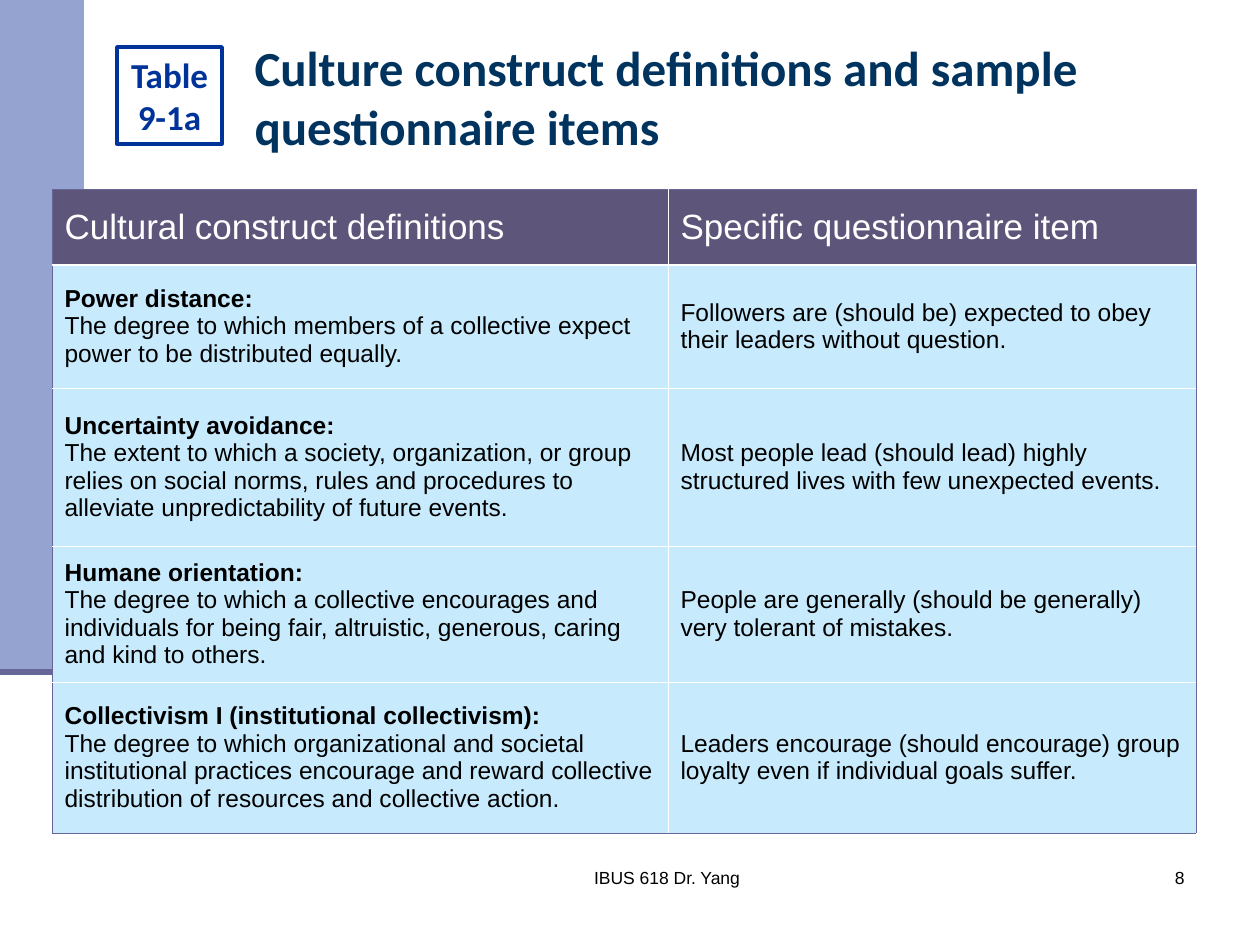
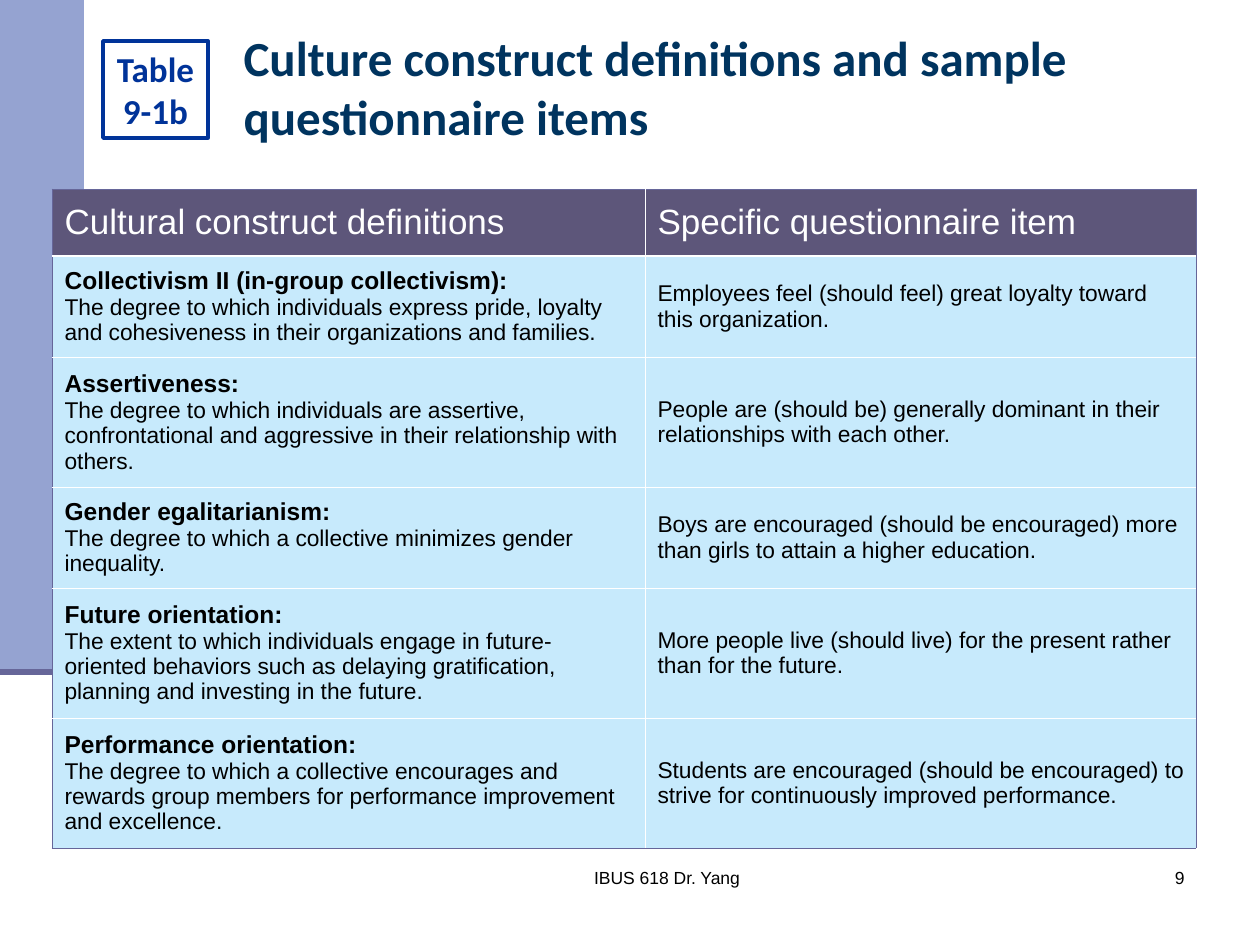
from pptx import Presentation
from pptx.dml.color import RGBColor as Rgb
from pptx.enum.shapes import MSO_CONNECTOR as Conn, MSO_SHAPE as Form
from pptx.enum.text import MSO_ANCHOR as Anchor, MSO_AUTO_SIZE as Fit, PP_ALIGN as Align
from pptx.oxml.xmlchemy import OxmlElement as Node
from pptx.util import Pt

TITLE = "Culture construct definitions and sample questionnaire items"
HEADS = ("Cultural construct definitions", "Specific questionnaire item")
FOOT = "IBUS 618 Dr. Yang"

PAGES = [
    {
        "num": 8, "tag": ("Table", "9-1a"), "tag_at": (117, 47), "title_at": (242, 31),
        "cols": (616, 528), "rows": (76, 123, 158, 136, 151), "size": 14,
        "items": [
            ("Power distance:",
             "The degree to which members of a collective expect power to be distributed equally.",
             "Followers are (should be) expected to obey their leaders without question."),
            ("Uncertainty avoidance:",
             "The extent to which a society, organization, or group relies on social norms, rules and procedures to alleviate unpredictability of future events.",
             "Most people lead (should lead) highly structured lives with few unexpected events."),
            ("Humane orientation:",
             "The degree to which a collective encourages and individuals for being fair, altruistic, generous, caring and kind to others.",
             "People are generally (should be generally) very tolerant of mistakes."),
            ("Collectivism I (institutional collectivism):",
             "The degree to which organizational and societal institutional practices encourage and reward collective distribution of resources and collective action.",
             "Leaders encourage (should encourage) group loyalty even if individual goals suffer."),
        ],
    },
    {
        "num": 9, "tag": ("Table", "9-1b"), "tag_at": (103, 41), "title_at": (231, 21),
        "cols": (593, 551), "rows": (67, 101, 130, 101, 130, 130), "size": 13,
        "items": [
            ("Collectivism II (in-group collectivism):",
             "The degree to which individuals express pride, loyalty and cohesiveness in their organizations and families.",
             "Employees feel (should feel) great loyalty toward this organization."),
            ("Assertiveness:",
             "The degree to which individuals are assertive, confrontational and aggressive in their relationship with others.",
             "People are (should be) generally dominant in their relationships with each other."),
            ("Gender egalitarianism:",
             "The degree to which a collective minimizes gender inequality.",
             "Boys are encouraged (should be encouraged) more than girls to attain a higher education."),
            ("Future orientation:",
             "The extent to which individuals engage in future-oriented behaviors such as delaying gratification, planning and investing in the future.",
             "More people live (should live) for the present rather than for the future."),
            ("Performance orientation:",
             "The degree to which a collective encourages and rewards group members for performance improvement and excellence.",
             "Students are encouraged (should be encouraged) to strive for continuously improved performance."),
        ],
    },
]


class Theme:
    band, rule, tag = "95A3D1", "666699", "003399"
    head, cell, grid = "5D567A", "C7EAFC", "FFFFFF"
    thin, thick = 0.45, 1.47
    fonts = {
        "title": {"name": "Calibri", "size": 28, "bold": True, "color": "00345F"},
        "tag": {"name": "Calibri", "size": 20, "bold": True, "color": tag},
        "head": {"name": "Arial", "size": 20, "bold": False, "color": "FFFFFF"},
        "term": {"name": "Arial", "size": 14, "bold": True, "color": "000000"},
        "text": {"name": "Arial", "size": 14, "bold": False, "color": "000000"},
        "foot": {"name": "Arial", "size": 10, "bold": False, "color": "000000"},
    }


SCALE = 914400 / 126
WIDE, HIGH = 1260, 945
BAND = (0, 0, 84, 672)
TABLE = (52, 189)
FEET = [(462, 861, 410, 63, Align.CENTER), (935, 861, 262, 63, Align.RIGHT)]


def px(*vals):
    return [round(val * SCALE) for val in vals]


def put(para, text, kind, **more):
    run = para.add_run()
    run.text = text
    for key, val in {**Theme.fonts[kind], **more}.items():
        if key == "color":
            run.font.color.rgb = Rgb.from_string(val)
        else:
            setattr(run.font, key, Pt(val) if key == "size" else val)


def setup(frame, **more):
    base = {"word_wrap": True, "auto_size": Fit.NONE, "vertical_anchor": Anchor.TOP}
    for key, val in {**base, **more}.items():
        setattr(frame, key, val)
    return frame.paragraphs[0]


def paint(thing, color):
    thing.solid()
    thing.fore_color.rgb = Rgb.from_string(color)


def stroke(line, color, width):
    paint(line.fill, color)
    line.width = Pt(width)


def add_title(slide, spot):
    shape = slide.shapes.title
    box = px(*spot, 987, 131)
    for key, val in zip(("left", "top", "width", "height"), box):
        setattr(shape, key, val)
    para = setup(shape.text_frame)
    para.alignment = Align.LEFT
    put(para, TITLE, "title")


def add_band(slide):
    band = slide.shapes.add_shape(Form.RECTANGLE, *px(*BAND))
    band.shadow.inherit = False
    paint(band.fill, Theme.band)
    band.line.fill.background()
    left, top, width, height = BAND
    rule = slide.shapes.add_connector(
        Conn.STRAIGHT, *px(left, top + height, left + width, top + height))
    rule._element.spPr.append(Node("a:effectLst"))
    stroke(rule.line, Theme.rule, 3.5)


def add_tag(slide, lines, spot):
    box = slide.shapes.add_shape(Form.RECTANGLE, *px(*spot, 105, 97))
    box.shadow.inherit = False
    box.fill.background()
    stroke(box.line, Theme.tag, 2)
    para = setup(box.text_frame, word_wrap=False)
    para.alignment = Align.CENTER
    put(para, lines[0], "tag")
    para.add_line_break()
    put(para, lines[1], "tag")


def add_feet(slide, num):
    for text, (*box, side) in zip((FOOT, str(num)), FEET):
        para = setup(slide.shapes.add_textbox(*px(*box)).text_frame)
        para.alignment = side
        put(para, text, "foot")


def edge(cell, side, color, width):
    line = Node(f"a:ln{side}")
    line.set("w", str(Pt(width)))
    fill, tone = Node("a:solidFill"), Node("a:srgbClr")
    tone.set("val", color)
    fill.append(tone)
    line.append(fill)
    cell._tc.get_or_add_tcPr().append(line)


def frame_cell(cell, row, col, last):
    outer = {"L": col == 0, "R": col == 1, "T": row == 0, "B": row == last}
    heavy = {"T": row == 1, "B": row == 0}
    for side, out in outer.items():
        edge(cell, side, Theme.rule if out else Theme.grid,
             Theme.thick if heavy.get(side) else Theme.thin)


def add_table(slide, page):
    cols, rows, size = page["cols"], page["rows"], page["size"]
    area = px(*TABLE, sum(cols), sum(rows))
    table = slide.shapes.add_table(len(rows), len(cols), *area).table
    table.horz_banding = False
    for col, width in zip(table.columns, px(*cols)):
        col.width = width
    for row, height in zip(table.rows, px(*rows)):
        row.height = height
    grid = [[[(text, "head", {})] for text in HEADS]]
    for term, sense, item in page["items"]:
        grid.append([[(term, "term", {}), (sense, "text", {"size": size})],
                     [(item, "text", {"size": size})]])
    for r, line in enumerate(grid):
        for c, parts in enumerate(line):
            cell = table.cell(r, c)
            frame_cell(cell, r, c, len(rows) - 1)
            paint(cell.fill, Theme.cell if r else Theme.head)
            cell.vertical_anchor = Anchor.MIDDLE
            body = cell.text_frame
            for n, (text, kind, more) in enumerate(parts):
                para = body.add_paragraph() if n else body.paragraphs[0]
                put(para, text, kind, **more)


def main():
    deck = Presentation()
    deck.slide_width, deck.slide_height = px(WIDE, HIGH)
    for page in PAGES:
        slide = deck.slides.add_slide(deck.slide_layouts[5])
        add_band(slide)
        add_title(slide, page["title_at"])
        add_tag(slide, page["tag"], page["tag_at"])
        add_table(slide, page)
        add_feet(slide, page["num"])
    deck.save("out.pptx")


if __name__ == "__main__":
    main()
